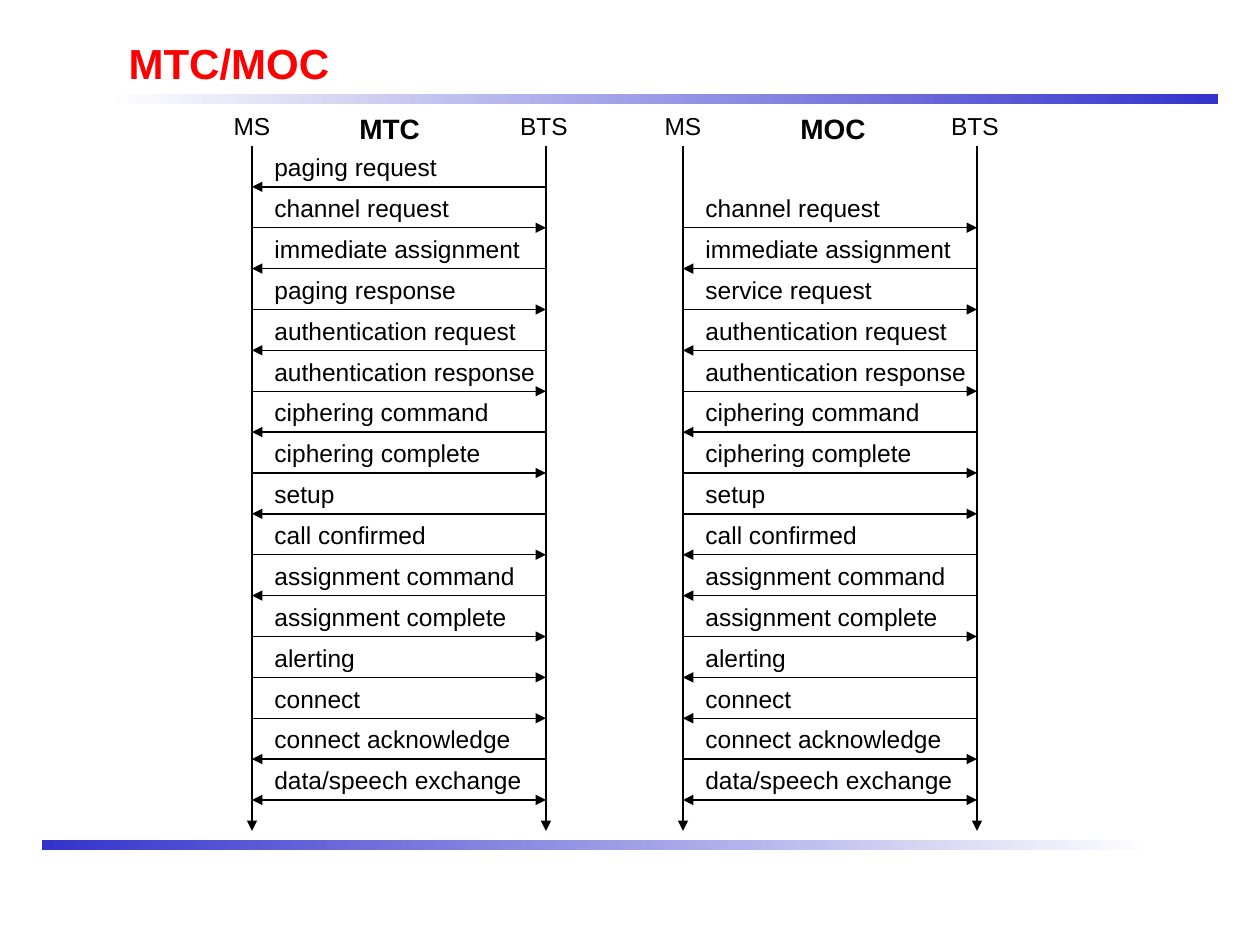
"""Build the MTC/MOC slide with two message sequence charts."""
from pptx import Presentation, util as u
from pptx.dml.color import RGBColor
from pptx.enum import shapes, text
from pptx.oxml.ns import qn
from lxml import etree

PX = 914400 / 126
TITLE = "MTC/MOC"
BLUE, WHITE, BLACK, RED = "3333CC", "FFFFFF", "000000", "FF0000"
BARS = [(105, 94, WHITE, BLUE), (42, 840, BLUE, WHITE)]
BAR_W, BAR_H = 1113, 10

LABEL_W = {
    "paging request": 191, "channel request": 203, "immediate assignment": 274,
    "paging response": 210, "service request": 195,
    "authentication request": 270, "authentication response": 289,
    "ciphering command": 242, "ciphering complete": 234, "setup": 88,
    "call confirmed": 180, "assignment command": 269,
    "assignment complete": 260, "alerting": 109, "connect": 114,
    "connect acknowledge": 264, "data/speech exchange": 275,
}
SECURITY = [
    ("authentication request", "<"), ("authentication response", ">"),
    ("ciphering command", "<"), ("ciphering complete", ">"),
]
ASSIGNMENT = [("assignment command", "<"), ("assignment complete", ">")]
EXCHANGE = ("data/speech exchange", "<>")
MTC = [
    ("paging request", "<"), ("channel request", ">"),
    ("immediate assignment", "<"), ("paging response", ">"), *SECURITY,
    ("setup", "<"), ("call confirmed", ">"), *ASSIGNMENT,
    ("alerting", ">"), ("connect", ">"), ("connect acknowledge", "<"), EXCHANGE,
]
MOC = [
    ("channel request", ">"), ("immediate assignment", "<"),
    ("service request", ">"), *SECURITY,
    ("setup", ">"), ("call confirmed", "<"), *ASSIGNMENT,
    ("alerting", "<"), ("connect", "<"), ("connect acknowledge", ">"), EXCHANGE,
]
CHARTS = [("MTC", 252, 347, 90, MTC), ("MOC", 683, 788, 94, MOC)]
TOP, LAST, END, ROWS = 146, 800, 831, 16
SPAN, HEAD_Y, TEXT_H = 294, 105, 43


def px(n):
    return u.Emu(round(n * PX))


def rgb(value):
    return RGBColor.from_string(value)


def write(tf, content, size, color=BLACK, bold=False, align=text.PP_ALIGN.LEFT):
    p = tf.paragraphs[0]
    p.alignment = align
    r = p.add_run()
    r.text = content
    for name, value in {"name": "Arial", "size": u.Pt(size), "bold": bold}.items():
        setattr(r.font, name, value)
    r.font.color.rgb = rgb(color)


def add_label(s, content, x, y, w, h=TEXT_H, size=14, **style):
    tf = s.shapes.add_textbox(px(x), px(y), px(w), px(h)).text_frame
    tf.word_wrap = False
    tf.auto_size = text.MSO_AUTO_SIZE.SHAPE_TO_FIT_TEXT
    write(tf, content, size, **style)


def add_arrow(s, x1, y1, x2, y2, direction=">", width=0.75):
    sp = s.shapes.add_connector(
        shapes.MSO_CONNECTOR.STRAIGHT, px(x1), px(y1), px(x2), px(y2))
    sp.line.color.rgb = rgb(BLACK)
    sp.line.width = u.Pt(width)
    ln = sp.line._get_or_add_ln()
    for mark, tag in (("<", "a:headEnd"), (">", "a:tailEnd")):
        if mark in direction:
            etree.SubElement(ln, qn(tag), type="triangle")
    etree.SubElement(ln.getparent(), qn("a:effectLst"))


def add_bar(s, x, y, start, end):
    sp = s.shapes.add_shape(
        shapes.MSO_SHAPE.RECTANGLE, px(x), px(y), px(BAR_W), px(BAR_H))
    sp.shadow.inherit = False
    sp.line.fill.background()
    sp.fill.gradient()
    sp.fill.gradient_angle = 0
    for stop, color in zip(sp.fill.gradient_stops, (start, end)):
        stop.color.rgb = rgb(color)


def add_chart(s, name, left, name_x, name_w, messages):
    right = left + SPAN
    for x, party, center, w in ((left, "MS", left, 64), (right, "BTS", right - 2, 76)):
        add_label(s, party, center - w / 2, HEAD_Y, w, align=text.PP_ALIGN.CENTER)
        add_arrow(s, x, TOP, x, END)
    add_label(s, name, name_x, HEAD_Y, name_w, 47, 16, bold=True)
    first = ROWS - len(messages)
    for row, (message, direction) in enumerate(messages, first):
        y, line_y = (TOP + (LAST - TOP) * i / ROWS for i in (row, row + 1))
        add_label(s, message, left + 10, y, LABEL_W[message])
        add_arrow(s, left, line_y, right, line_y, direction,
                  1.5 if direction == "<>" else 0.75)


def main():
    prs = Presentation()
    prs.slide_width, prs.slide_height = px(1260), px(945)
    s = prs.slides.add_slide(prs.slide_layouts[5])
    title = s.shapes.title
    place = {"left": 116, "top": 31, "width": 1071, "height": 63}
    for name, value in place.items():
        setattr(title, name, px(value))
    tf = title.text_frame
    tf.vertical_anchor = text.MSO_ANCHOR.MIDDLE
    tf.auto_size = text.MSO_AUTO_SIZE.NONE
    write(tf, TITLE, 24, RED, True)
    for bar in BARS:
        add_bar(s, *bar)
    for chart in CHARTS:
        add_chart(s, *chart)
    prs.save("out.pptx")


if __name__ == "__main__":
    main()
